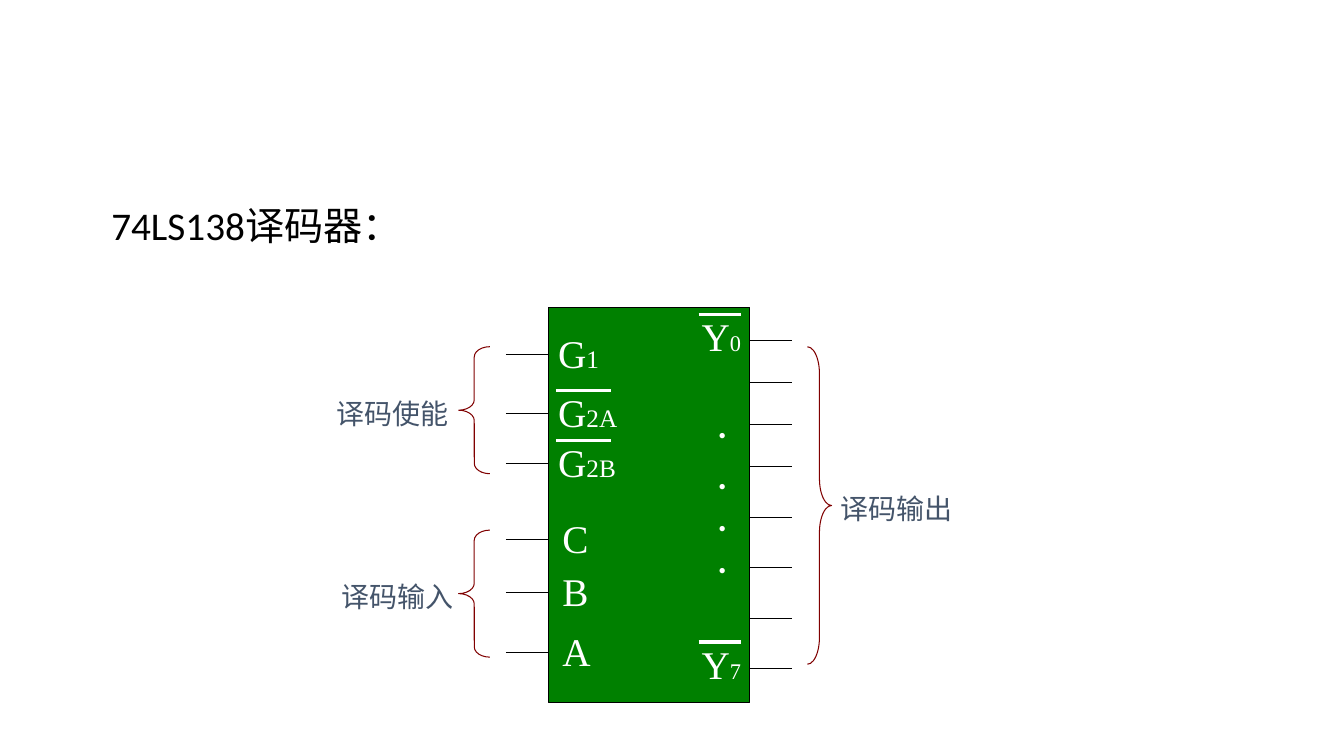
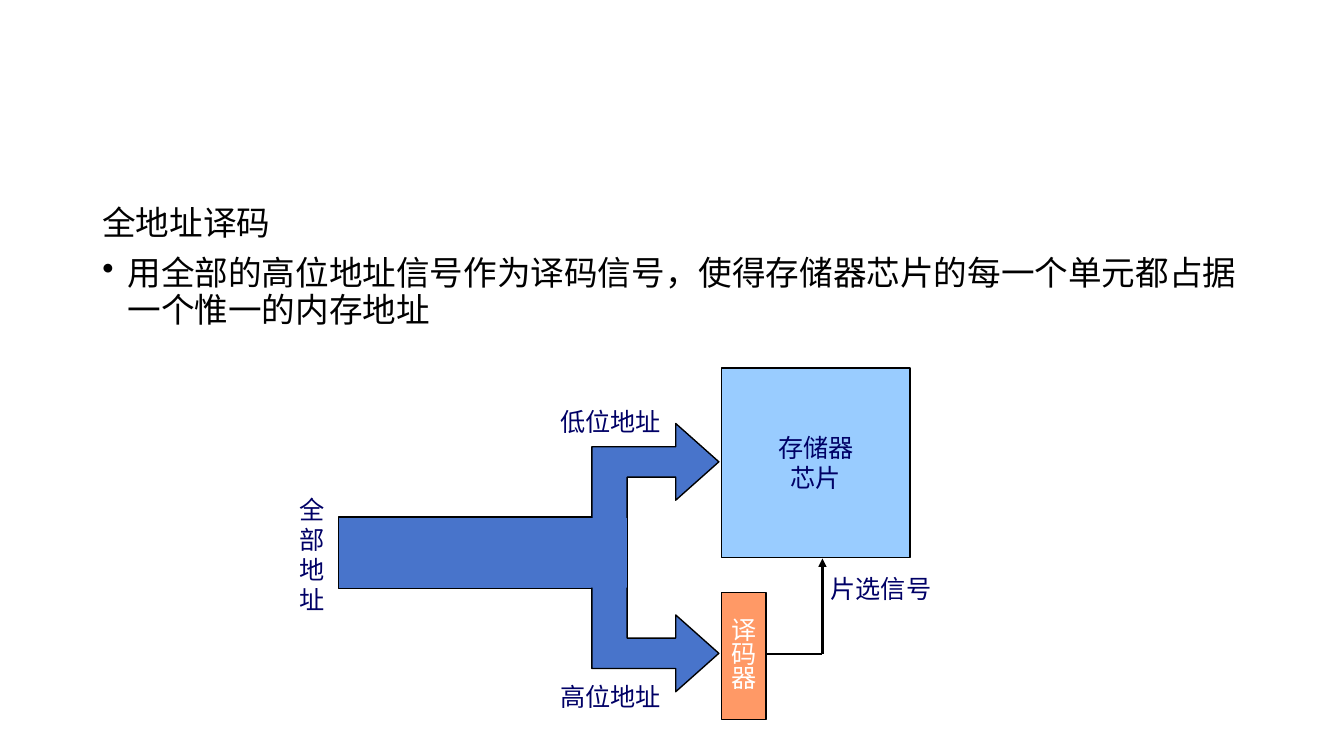
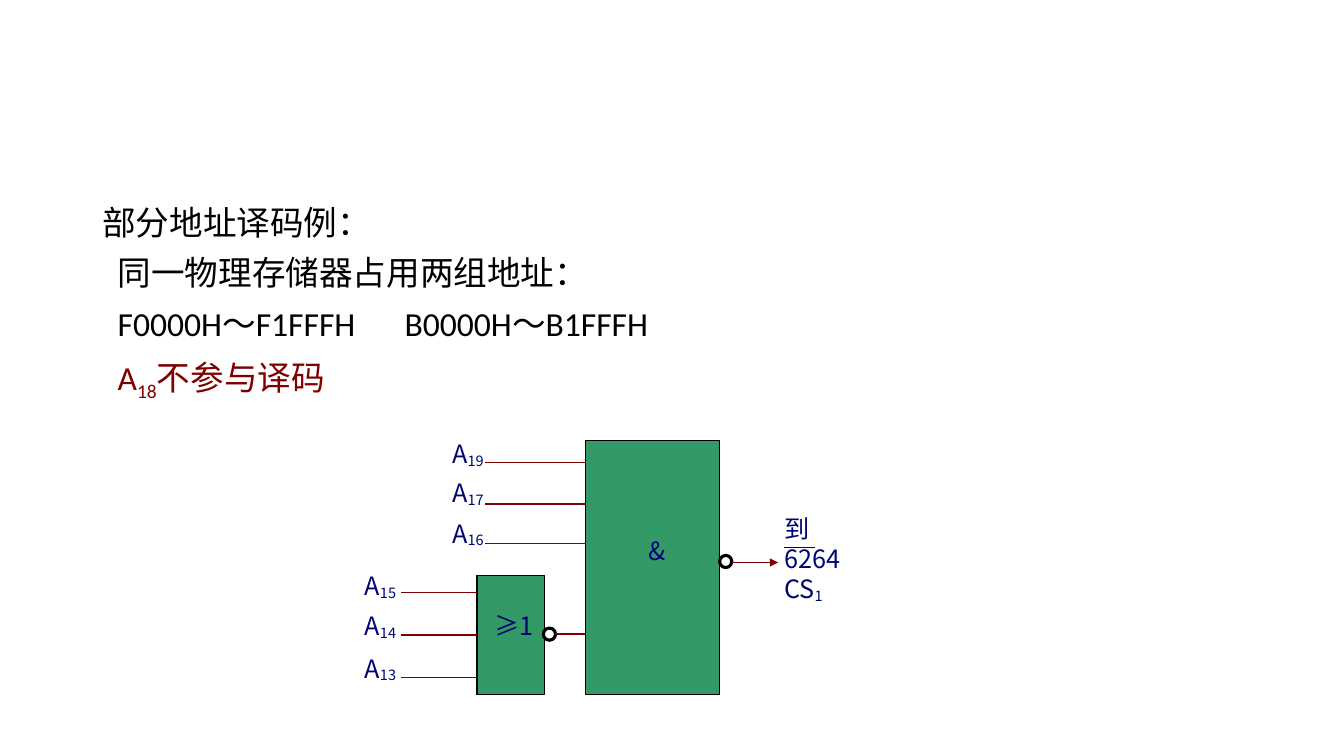
"""Builds three slides on address decoding with a decoder chip, buses and gates."""
from lxml.etree import SubElement
from pptx import Presentation
from pptx.dml.color import RGBColor
from pptx.enum.shapes import MSO_CONNECTOR as LINK, MSO_SHAPE as SHAPE
from pptx.enum.text import MSO_ANCHOR as ANCHOR, PP_ALIGN as ALIGN
from pptx.oxml.ns import qn
from pptx.util import Pt

COLORS = {
    "black": "000000", "white": "FFFFFF", "slate": "44546A", "maroon": "800000",
    "navy": "000066", "ink": "010473", "chip": "008000", "gate": "339966",
    "bus": "4874CB", "memory": "99CCFF", "decoder": "FF9966",
}
CJK = "Noto Sans CJK SC"
STYLES = {
    "lead": {"name": "Calibri", "size": 28, "color": "black"},
    "body": {"name": "Calibri", "size": 24, "color": "black"},
    "pin": {"name": "Times New Roman", "size": 28, "color": "white"},
    "dot": {"name": "Times New Roman", "size": 16, "color": "white"},
    "group": {"name": "Arial", "size": 20, "color": "slate"},
    "block": {"name": CJK, "size": 18, "color": "navy"},
    "decoder": {"name": "Arial", "size": 18, "color": "white"},
    "signal": {"name": CJK, "size": 18, "color": "ink"},
}
INSETS = (7.2, 3.6, 7.2, 3.6)
FLUSH = (0, 3.6, 7.2, 3.6)
HANGING = {"marL": 18, "indent": -18}
INDENTED = {"marL": 0, "indent": 11}


class Deck:
    def __init__(self):
        self.show = Presentation()
        self.show.slide_width, self.show.slide_height = Pt(960), Pt(540)
        self.shapes = None

    def slide(self):
        self.shapes = self.show.slides.add_slide(self.show.slide_layouts[6]).shapes

    def paint(self, shape, fill, line, weight):
        shape.shadow.inherit = False
        if fill:
            shape.fill.solid()
            shape.fill.fore_color.rgb = RGBColor.from_string(COLORS[fill])
        else:
            shape.fill.background()
        if line:
            shape.line.color.rgb = RGBColor.from_string(COLORS[line])
            shape.line.width = Pt(weight)
        else:
            shape.line.fill.background()
        return shape

    def shape(self, kind, box, fill=None, line="black", weight=1, adjust=()):
        shape = self.shapes.add_shape(kind, *map(Pt, box))
        for index, value in enumerate(adjust):
            shape.adjustments[index] = value
        return self.paint(shape, fill, line, weight)

    def outline(self, points, fill):
        start, *rest = [(Pt(x), Pt(y)) for x, y in points]
        builder = self.shapes.build_freeform(*start)
        builder.add_line_segments(rest, close=True)
        return self.paint(builder.convert_to_shape(), fill, "black", 1)

    def line(self, x1, y1, x2, y2, color="black", weight=1, arrow=False):
        line = self.shapes.add_connector(LINK.STRAIGHT, *map(Pt, (x1, y1, x2, y2)))
        line.line.color.rgb = RGBColor.from_string(COLORS[color])
        line.line.width = Pt(weight)
        properties = line._element.spPr
        if arrow:
            SubElement(properties.find(qn("a:ln")), qn("a:tailEnd"), type="triangle")
        SubElement(properties, qn("a:effectLst"))

    def run(self, paragraph, text, name, size, color, baseline=0):
        run = paragraph.add_run()
        run.text = text
        for key, value in {"name": name, "size": Pt(size)}.items():
            setattr(run.font, key, value)
        run.font.color.rgb = RGBColor.from_string(COLORS[color])
        properties = run._r.get_or_add_rPr()
        SubElement(properties, qn("a:ea"), typeface=CJK)
        if baseline:
            properties.set("baseline", str(baseline * 1000))

    def typeset(self, frame, style, paragraphs, align=ALIGN.LEFT, spacing=None):
        for index, runs in enumerate(paragraphs):
            paragraph = frame.add_paragraph() if index else frame.paragraphs[0]
            paragraph.alignment = align
            if spacing:
                paragraph.line_spacing = spacing
            for text, changes in runs:
                self.run(paragraph, text, **{**STYLES[style], **changes})

    def text(self, box, style, *paragraphs, insets=INSETS, **layout):
        frame = self.shapes.add_textbox(*map(Pt, box)).text_frame
        sides = ("margin_left", "margin_top", "margin_right", "margin_bottom")
        for key, value in {"word_wrap": True, **dict(zip(sides, map(Pt, insets)))}.items():
            setattr(frame, key, value)
        self.typeset(frame, style, paragraphs, **layout)
        return frame

    def label(self, box, style, text, small="", insets=INSETS, align=ALIGN.LEFT, **changes):
        runs = [(text, {})] + ([(small, changes)] if small else [])
        self.text(box, style, runs, insets=insets, align=align)

    def block(self, box, fill, style, lines, spacing=None):
        frame = self.shape(SHAPE.RECTANGLE, box, fill).text_frame
        for key, value in {"word_wrap": False, "vertical_anchor": ANCHOR.MIDDLE}.items():
            setattr(frame, key, value)
        self.typeset(frame, style, [[(line, {})] for line in lines], ALIGN.CENTER, spacing)

    def body(self, style, *items):
        frame = self.text((66, 144, 828, 342.7), style,
                          *[runs for runs, _ in items], spacing=0.9)
        for index, (paragraph, (_, layout)) in enumerate(zip(frame.paragraphs, items)):
            if index:
                paragraph.space_before = Pt(10)
            properties = paragraph._p.get_or_add_pPr()
            for key in ("marL", "indent"):
                properties.set(key, str(Pt(layout[key])))
            if "bullet" in layout:
                SubElement(properties, qn("a:buChar"), char=layout["bullet"])
            if "tab" in layout:
                stops = SubElement(properties, qn("a:tabLst"))
                SubElement(stops, qn("a:tab"), pos=str(Pt(layout["tab"])), algn="l")


def decoder_chip(deck):
    deck.slide()
    deck.body("lead", ([("74LS138译码器：", {})], {"marL": 0, "indent": 6.5}))
    deck.shape(SHAPE.RECTANGLE, (391.7, 219.6, 144, 282.2), "chip", weight=0.75)
    for index in range(8):
        y = 243.5 + 30 * index + 6 * max(0, index - 3)
        deck.line(535.7, y, 566, y, weight=0.75)

    inputs = [("G", "1", 253.5), ("G", "2A", 295.2), ("G", "2B", 331.2),
              ("C", "", 385.2), ("B", "", 423.4), ("A", "", 466)]
    for letter, small, y in inputs:
        deck.line(361.4, y, 391.7, y, weight=0.75)
        deck.label((391.7 if small else 394.6, y - 21.6, 66, 41), "pin", letter, small, size=18)
        if small.startswith("2"):
            deck.line(397, y - 16.5, 436.6, y - 16.5, "white", 2.25)

    for small, top in (("0", 219.6), ("7", 453.6)):
        deck.label((494, top, 54, 41), "pin", "Y", small, size=16)
        deck.line(499, top + 5, 529, top + 5, "white", 2.25)
    for top in (297.4, 333.4, 363.6, 393.8):
        deck.label((506, top, 42, 26.6), "dot", "•")

    braces = [
        (SHAPE.LEFT_BRACE, (327.6, 247.7, 22.3, 90.7), 0.33, "译码使能", (233.3, 280)),
        (SHAPE.LEFT_BRACE, (327.6, 378.7, 22.3, 90.7), 0.33, "译码输入", (236.9, 410.4)),
        (SHAPE.RIGHT_BRACE, (576.7, 247.7, 17.3, 226.8), 1.11, "译码输出", (593.3, 347.8)),
    ]
    for kind, box, curl, name, corner in braces:
        deck.shape(kind, box, None, "maroon", 0.75, (curl, 0.5))
        deck.label((*corner, 102.2, 31.7), "group", name)


def full_decoding(deck):
    deck.slide()
    deck.body(
        "body",
        ([("全地址译码", {"name": "Times New Roman"})], HANGING),
        ([("用全部的高位地址信号作为译码信号，使得存储器芯片的每一个单元都占据一个惟一的内存地址", {})],
         {**HANGING, "bullet": "•"}),
    )
    deck.shape(SHAPE.RECTANGLE, (242, 369.4, 205, 51.2), "bus")
    axis = 398.3
    branch = [(513.5, 68.4), (482.7, 41), (482.7, 57.5), (448, 57.5), (448, 0),
              (422.8, 0), (422.8, 79.2), (482.7, 79.2), (482.7, 95.8)]
    for side in (-1, 1):
        deck.outline([(x, axis + side * offset) for x, offset in branch], "bus")
    deck.shape(SHAPE.RECTANGLE, (373, 370, 74.9, 49.7), "bus", None)

    deck.block((515.5, 262.8, 134.6, 135.4), "memory", "block", ("存储器", "芯片"))
    deck.block((515.5, 423.4, 31.7, 90.7), "decoder", "decoder", "译码器", 0.8)
    deck.line(547.9, 467.3, 587.5, 467.3, weight=1.75)
    deck.line(587.5, 467.3, 587.5, 398.9, weight=1.75, arrow=True)

    names = [("低位地址", (400.3, 286.6, 90.7, 28.8)), ("高位地址", (400.3, 483.1, 90.7, 28.8)),
             ("片选信号", (593.3, 406.1, 90.7, 28.8)), ("全部地址", (213.8, 349.2, 23, 94.3))]
    for name, box in names:
        deck.label(box, "block", name, insets=FLUSH)


def partial_decoding(deck):
    deck.slide()
    red = {"color": "maroon"}
    deck.body(
        "body",
        ([("部分地址译码例：", {"name": "Times New Roman"})], HANGING),
        ([("同一物理存储器占用两组地址：", {})], INDENTED),
        ([("F0000H～F1FFFH\tB0000H～B1FFFH", {})], {**INDENTED, "tab": 213.7}),
        ([("A", red), ("18", {**red, "baseline": -25}), ("不参与译码", red)], INDENTED),
    )
    deck.shape(SHAPE.RECTANGLE, (418.3, 314.6, 95.8, 181.4), "gate")
    deck.shape(SHAPE.RECTANGLE, (340.6, 411.1, 48.2, 85), "gate")

    gates = [
        (316, 346.3, 418.3, [("19", 309.6, 330.5), ("17", 337.7, 360), ("16", 366.5, 388.1)]),
        (253.4, 286.6, 340.6, [("15", 403.9, 423.4), ("14", 432.7, 453.6), ("13", 463, 483.8)]),
    ]
    for left, start, end, lines in gates:
        for number, top, y in lines:
            deck.line(start, y, end, y, "maroon")
            deck.label((left, top, 72, 28.8), "signal", "A", number, baseline=-10)

    deck.label((442, 378.7, 54, 28.8), "signal", "&", align=ALIGN.CENTER)
    deck.label((346.3, 432.7, 54, 28.8), "signal", "≥1")
    for left, top in ((388.1, 448.6), (514, 396.7)):
        deck.shape(SHAPE.OVAL, (left, top, 8.7, 8.7), weight=2.25)
    deck.line(396.7, 452.9, 418, 452.9, "maroon")
    deck.line(522.7, 401.8, 555.8, 401.8, "maroon", arrow=True)
    deck.text((553, 362.9, 70, 51.1), "signal",
              [("到6264", {})], [("CS", {}), ("1", {"baseline": -10})])
    deck.line(560.2, 391, 582.5, 391, "ink")


def main():
    deck = Deck()
    for build in (decoder_chip, full_decoding, partial_decoding):
        build(deck)
    deck.show.save("out.pptx")


if __name__ == "__main__":
    main()
